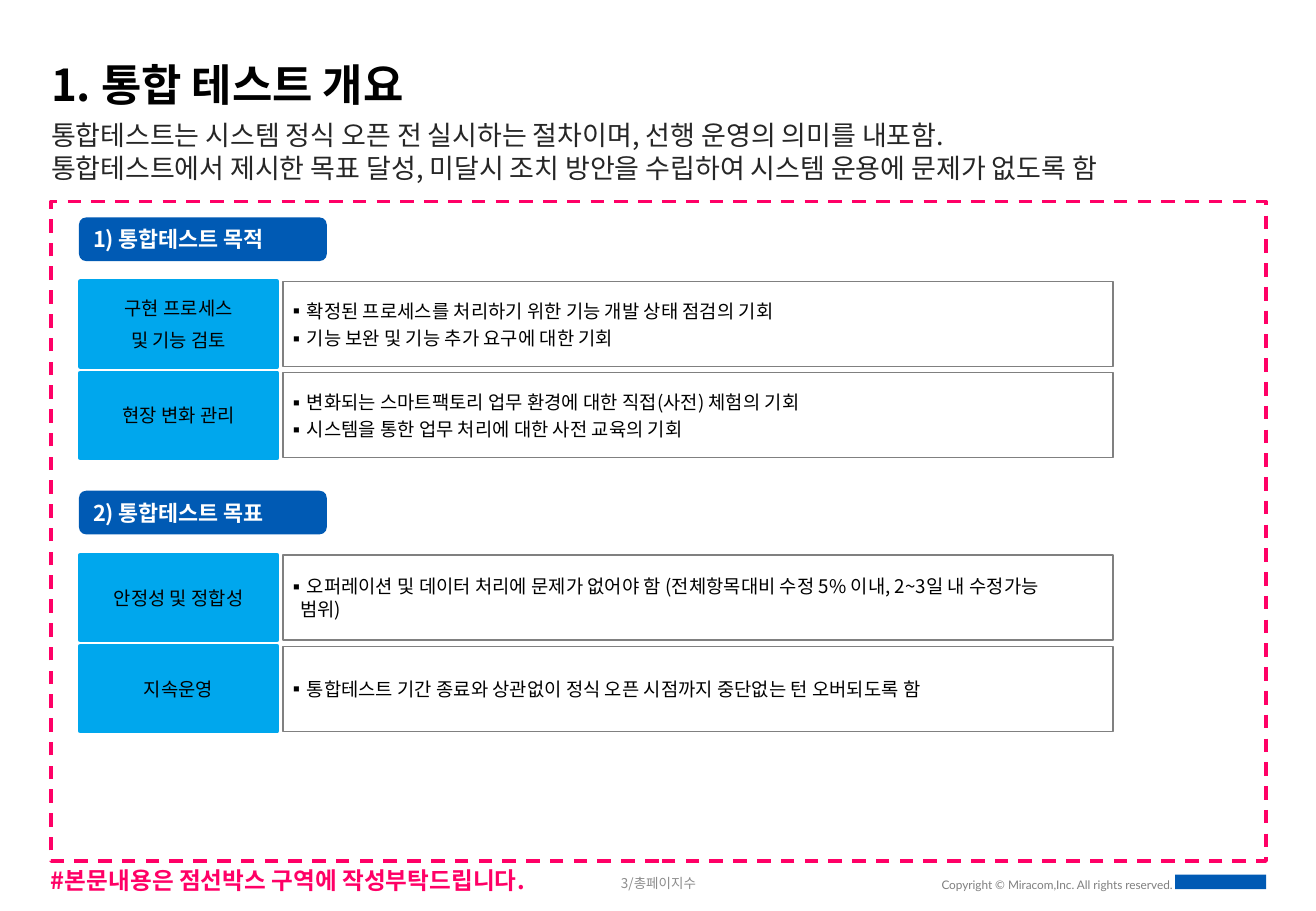
import pptx
import pptx.dml.color
import pptx.enum.dml
import pptx.enum.shapes
import pptx.enum.text
import pptx.oxml.ns
import pptx.util
from lxml import etree

W, H = 10.83, 7.5
MARGIN, CONTENT_W = 0.42, 10
SECTION_TOP, SECTION_STEP = 1.79, 2.25
ROW_OFFSET, ROW_STEP, ROW_H = 0.53, 0.75, 0.7
LABEL_X, LABEL_W = 0.66, 1.62
DETAIL_X, DETAIL_W = 2.33, 6.83
FONT = "Noto Sans CJK KR"
BLUE, CYAN, PINK, BLACK, WHITE = "005AB4", "00A7ED", "FF0066", "000000", "FFFFFF"

SHAPE = pptx.enum.shapes.MSO_SHAPE
ALIGN = pptx.enum.text.PP_ALIGN
ANCHOR = pptx.enum.text.MSO_ANCHOR

SECTIONS = [
    ("1) 통합테스트 목적", [
        (["구현 프로세스", "및 기능 검토"],
         ["확정된 프로세스를 처리하기 위한 기능 개발 상태 점검의 기회",
          "기능 보완 및 기능 추가 요구에 대한 기회"]),
        (["현장 변화 관리"],
         ["변화되는 스마트팩토리 업무 환경에 대한 직접(사전) 체험의 기회",
          "시스템을 통한 업무 처리에 대한 사전 교육의 기회"]),
    ]),
    ("2) 통합테스트 목표", [
        (["안정성 및 정합성"],
         ["오퍼레이션 및 데이터 처리에 문제가 없어야 함 "
          "(전체항목대비 수정 5% 이내, 2~3일 내 수정가능 범위)"]),
        (["지속운영"],
         ["통합테스트 기간 종료와 상관없이 정식 오픈 시점까지 중단없는 턴 오버되도록 함"]),
    ]),
]


def rgb(color):
    return pptx.dml.color.RGBColor.from_string(color)


def box(*lengths):
    return [pptx.util.Inches(v) for v in lengths]


def add_child(parent, tag, **attributes):
    etree.SubElement(parent, pptx.oxml.ns.qn(tag), **attributes)


def set_bullet(p, char, indent):
    """Hang the text behind a bullet, or clear the bullet when char is None."""
    pPr = p._p.get_or_add_pPr()
    width = pptx.util.Inches(indent)
    pPr.set("marL", str(width))
    pPr.set("indent", str(-width))
    if char:
        add_child(pPr, "a:buFont", typeface=FONT)
        add_child(pPr, "a:buChar", char=char)
    else:
        add_child(pPr, "a:buNone")


def write(sp, lines, size, color, bold=False, align=ALIGN.LEFT, anchor=ANCHOR.MIDDLE,
          insets=(0, 0, 0, 0), wrap=True, before=0, after=0, bullet=None, font=FONT):
    tf = sp.text_frame
    tf.word_wrap, tf.vertical_anchor = wrap, anchor
    tf.margin_left, tf.margin_top, tf.margin_right, tf.margin_bottom = box(*insets)
    for i, line in enumerate(lines):
        p = tf.paragraphs[0] if i == 0 else tf.add_paragraph()
        p.text = line
        p.alignment = align
        p.line_spacing = 1.0
        p.space_before = pptx.util.Pt(before if i else 0)
        p.space_after = pptx.util.Pt(after)
        set_bullet(p, bullet, 0.1 if bullet else 0)
        p.font.size, p.font.bold, p.font.name = pptx.util.Pt(size), bold, font
        p.font.color.rgb = rgb(color)
        add_child(p.font._element, "a:ea", typeface=font)


def add_text(s, place, *args, **kwargs):
    write(s.shapes.add_textbox(*box(*place)), *args, **kwargs)


def fill_placeholder(sp, place, *args, **kwargs):
    sp.left, sp.top, sp.width, sp.height = box(*place)
    write(sp, *args, **kwargs)


def add_block(s, kind, place, fill=None, line=None, line_width=1.0):
    sp = s.shapes.add_shape(kind, *box(*place))
    sp.shadow.inherit = False
    if fill:
        sp.fill.solid()
        sp.fill.fore_color.rgb = rgb(fill)
    else:
        sp.fill.background()
    if line:
        sp.line.color.rgb = rgb(line)
        sp.line.width = pptx.util.Pt(line_width)
    else:
        sp.line.fill.background()
    return sp


def add_row(s, top, label, details):
    sp = add_block(s, SHAPE.RECTANGLE, (LABEL_X, top, LABEL_W, ROW_H), CYAN, CYAN, 2.75)
    write(sp, label, 11.1, BLACK, align=ALIGN.CENTER, wrap=False, after=5.5,
          insets=(0.1, 0.05, 0.1, 0.05))
    sp = add_block(s, SHAPE.RECTANGLE, (DETAIL_X, top, DETAIL_W, ROW_H), WHITE, "808080", 0.75)
    write(sp, details, 11.1, BLACK, before=2.8, bullet="▪", insets=(0.04, 0.05, 0.3, 0.05))


def add_section(s, top, heading, rows):
    sp = add_block(s, SHAPE.ROUNDED_RECTANGLE, (0.65, top, 2.04, 0.36), BLUE)
    write(sp, [heading], 12.9, WHITE, bold=True, insets=(0.1, 0.05, 0.1, 0.05))
    for i, (label, details) in enumerate(rows):
        add_row(s, top + ROW_OFFSET + i * ROW_STEP, label, details)


def add_footer(s):
    add_text(s, (MARGIN, 7.13, 4, 0.24), ["#본문내용은 점선박스 구역에 작성부탁드립니다."],
             14, PINK, bold=True, anchor=ANCHOR.TOP)
    add_text(s, (4.2, 7.07, 2.44, 0.4), ["3/총페이지수"], 8, "8C8C8C", align=ALIGN.CENTER)
    add_text(s, (7.57, 7.22, 2.08, 0.12), ["Copyright © Miracom,Inc. All rights reserved."],
             7, "7F7F7F", align=ALIGN.RIGHT, font="Lato")
    add_block(s, SHAPE.RECTANGLE, (9.67, 7.2, 0.75, 0.12), BLUE)


def main():
    prs = pptx.Presentation()
    prs.slide_width, prs.slide_height = box(W, H)
    s = prs.slides.add_slide(prs.slide_layouts[1])
    fill_placeholder(s.shapes.title, (MARGIN, 0.47, CONTENT_W, 0.44),
                     ["1. 통합 테스트 개요"], 26, BLACK, bold=True)
    fill_placeholder(s.placeholders[1], (MARGIN, 0.98, CONTENT_W, 0.81),
                     ["통합테스트는 시스템 정식 오픈 전 실시하는 절차이며, 선행 운영의 의미를 내포함.",
                      "통합테스트에서 제시한 목표 달성, 미달시 조치 방안을 수립하여 "
                      "시스템 운용에 문제가 없도록 함"],
                     16, "262626", anchor=ANCHOR.TOP)
    frame = add_block(s, SHAPE.RECTANGLE, (MARGIN, 1.66, CONTENT_W, 5.43), None, PINK, 2)
    frame.line.dash_style = pptx.enum.dml.MSO_LINE.DASH
    for i, (heading, rows) in enumerate(SECTIONS):
        add_section(s, SECTION_TOP + i * SECTION_STEP, heading, rows)
    add_footer(s)
    prs.save("out.pptx")


if __name__ == "__main__":
    main()
